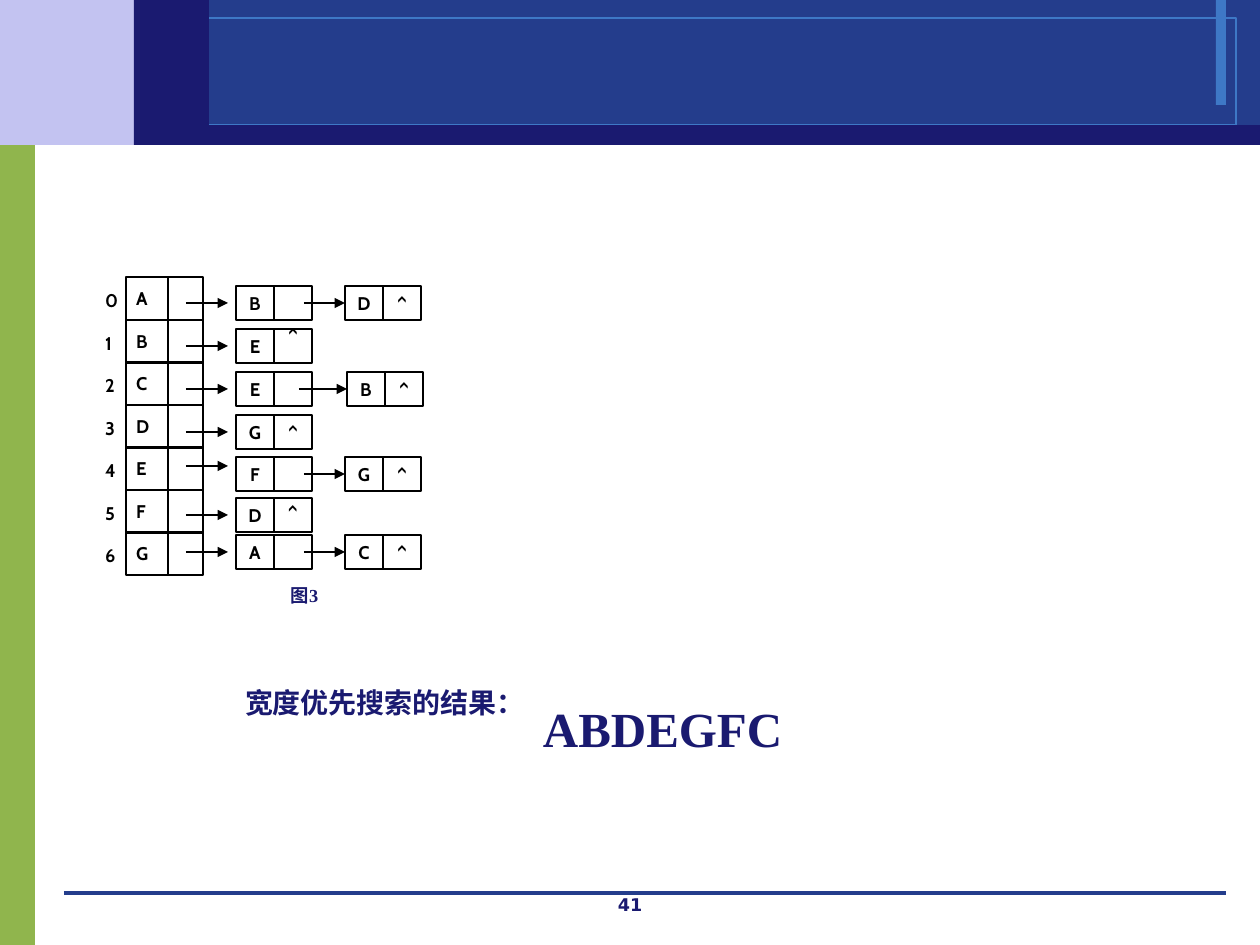
import pptx
import pptx.util
import pptx.dml.color
import pptx.enum.shapes
import pptx.enum.text
import pptx.oxml
import pptx.oxml.ns
from dataclasses import dataclass
from typing import Optional

PX = 914400 / 126
ALIGN = pptx.enum.text.PP_ALIGN
ANCHOR = pptx.enum.text.MSO_ANCHOR
NAVY, BLUE, SKY, BLACK = "1A1A70", "243D8C", "3E78C6", "000000"
CELL_MARGINS = (10, 5, 10, 5)
BOX_MARGINS = (13, 6, 13, 6)

# Adjacency table and linked nodes
TABLE_LEFT, TABLE_TOP, TABLE_HEIGHT = 126, 277, 298
VERTEX_WIDTH, POINTER_WIDTH = 42, 35
NODE_LEFT, NODE_WIDTH, NODE_HEIGHT = 236, 38, 34


@dataclass
class Band:
    left: int
    top: int
    width: int
    height: int
    fill: Optional[str] = None
    line: Optional[str] = None


@dataclass
class Row:
    vertex: str
    first: str
    node_top: int
    second: Optional[str] = None
    second_left: int = 345
    link_left: int = 304
    arrow_offset: int = 17


BACKGROUND_BANDS = [
    Band(0, 134, 35, 811, fill="90B54D"),
    Band(0, 0, 193, 145, fill="C3C3F1"),
    Band(193, 0, 1067, 145, fill=BLUE),
    Band(1216, 0, 10, 105, fill=SKY),
    Band(150, 18, 1086, 107, line=SKY),
]
FRONT_BANDS = [
    Band(164, 125, 1096, 20, fill=NAVY),
    Band(134, 0, 75, 145, fill=NAVY),
]
ROWS = [
    Row("A", "B", 286, "D"),
    Row("B", "E", 329),
    Row("C", "E", 372, "B", second_left=347, link_left=299),
    Row("D", "G", 415),
    Row("E", "F", 457, "G", arrow_offset=9),
    Row("F", "D", 498),
    Row("G", "A", 535, "C"),
]


def px(value: int) -> int:
    return round(value * PX)


def color(value: str):
    return pptx.dml.color.RGBColor.from_string(value)


def add_box(slide, left: int, top: int, width: int, height: int,
            fill: Optional[str] = None, line: Optional[str] = None,
            weight: float = 0.75):
    shape = slide.shapes.add_shape(
        pptx.enum.shapes.MSO_SHAPE.RECTANGLE,
        px(left), px(top), px(width), px(height))
    shape.shadow.inherit = False
    if fill:
        shape.fill.solid()
        shape.fill.fore_color.rgb = color(fill)
    else:
        shape.fill.background()
    if line:
        shape.line.color.rgb = color(line)
        shape.line.width = pptx.util.Pt(weight)
    else:
        shape.line.fill.background()
    return shape


def write(shape, text: str, size: float = 10.5, font: str = "Cabin",
          ink: str = BLACK, align=ALIGN.LEFT, anchor=ANCHOR.TOP,
          margins: tuple = CELL_MARGINS, wrap: bool = True,
          grow: bool = False, indent: int = 0, spacing: float = 1.0):
    frame = shape.text_frame
    frame.word_wrap = wrap
    frame.vertical_anchor = anchor
    if grow:
        frame.auto_size = pptx.enum.text.MSO_AUTO_SIZE.SHAPE_TO_FIT_TEXT
    (frame.margin_left, frame.margin_top,
     frame.margin_right, frame.margin_bottom) = map(px, margins)
    paragraph = frame.paragraphs[0]
    paragraph.alignment = align
    paragraph.line_spacing = spacing
    if indent:
        properties = paragraph._p.get_or_add_pPr()
        properties.set("marL", str(px(indent)))
        properties.set("indent", "0")
    run = paragraph.add_run()
    run.text = text
    run.font.size = pptx.util.Pt(size)
    run.font.name = font
    run.font.bold = True
    run.font.color.rgb = color(ink)


def add_label(slide, text: str, left: int, top: int, width: int, height: int,
              **text_format):
    shape = slide.shapes.add_textbox(px(left), px(top), px(width), px(height))
    write(shape, text, **text_format)


def add_line(slide, left: int, right: int, y: int, ink: str = BLACK,
             weight: float = 0.75, arrow: bool = False):
    connector = slide.shapes.add_connector(
        pptx.enum.shapes.MSO_CONNECTOR.STRAIGHT,
        px(left), px(y), px(right), px(y))
    connector.line.color.rgb = color(ink)
    connector.line.width = pptx.util.Pt(weight)
    if arrow:
        head = pptx.oxml.parse_xml(
            f'<a:tailEnd {pptx.oxml.ns.nsdecls("a")} type="triangle"/>')
        connector.line._get_or_add_ln().append(head)
    effects = pptx.oxml.parse_xml(
        f'<a:effectLst {pptx.oxml.ns.nsdecls("a")}/>')
    connector._element.spPr.append(effects)
    return connector


def add_band(slide, band: Band):
    add_box(slide, band.left, band.top, band.width, band.height,
            band.fill, band.line, weight=0)


def add_node(slide, left: int, top: int, value: str):
    """Draw the value and link cells of a list node; return the value cell."""
    cell = add_box(slide, left, top, NODE_WIDTH, NODE_HEIGHT, line=BLACK)
    write(cell, value, align=ALIGN.CENTER, anchor=ANCHOR.MIDDLE)
    link = add_box(slide, left + NODE_WIDTH, top, NODE_WIDTH, NODE_HEIGHT,
                   line=BLACK)
    return cell, link


def add_row(slide, index: int, row: Row):
    top = round(TABLE_TOP + index * TABLE_HEIGHT / len(ROWS))
    height = round(TABLE_HEIGHT / len(ROWS))

    # Table cells and index
    vertex = add_box(slide, TABLE_LEFT, top, VERTEX_WIDTH, height, line=BLACK)
    write(vertex, row.vertex, align=ALIGN.JUSTIFY, anchor=ANCHOR.MIDDLE)
    add_box(slide, TABLE_LEFT + VERTEX_WIDTH, top, POINTER_WIDTH, height,
            line=BLACK)
    add_label(slide, str(index), 95, top + 7, 32, 38, align=ALIGN.JUSTIFY)

    # Linked nodes
    _, last_link = add_node(slide, NODE_LEFT, row.node_top, row.first)
    add_line(slide, 186, 228, row.node_top + row.arrow_offset, arrow=True)
    if row.second:
        cell, last_link = add_node(slide, row.second_left, row.node_top,
                                   row.second)
        arrow = add_line(slide, row.link_left, row.second_left,
                         row.node_top + NODE_HEIGHT // 2, arrow=True)
        arrow.end_connect(cell, 1)

    # End mark, raised in the row of vertex B
    if row.vertex == "F":
        add_label(slide, "^", 278, 496, 43, 44, align=ALIGN.JUSTIFY)
    else:
        margins = (10, 5, 10, 27) if row.vertex == "B" else CELL_MARGINS
        write(last_link, "^", align=ALIGN.CENTER, anchor=ANCHOR.MIDDLE,
              margins=margins)


def main():
    presentation = pptx.Presentation()
    presentation.slide_width = px(1260)
    presentation.slide_height = px(945)
    slide = presentation.slides.add_slide(presentation.slide_layouts[6])

    # Header, side bar and footer rule
    for band in BACKGROUND_BANDS:
        add_band(slide, band)
    add_line(slide, 64, 1226, 893, ink=BLUE, weight=0)
    for band in FRONT_BANDS:
        add_band(slide, band)

    # Adjacency list and its caption
    for index, row in enumerate(ROWS):
        add_row(slide, index, row)
    caption = add_box(slide, 278, 578, 83, 42, fill="FFFFFF")
    write(caption, "图3", font="Times New Roman", ink=NAVY,
          align=ALIGN.JUSTIFY, margins=BOX_MARGINS)

    # Search result
    add_label(slide, "宽度优先搜索的结果：", 169, 663, 689, 57, size=16,
              font="Times New Roman", ink=NAVY, margins=BOX_MARGINS,
              grow=True, indent=63, spacing=1.5)
    add_label(slide, "ABDEGFC", 530, 692, 267, 72, size=28,
              font="Times New Roman", ink=NAVY, margins=BOX_MARGINS,
              grow=True, wrap=False)

    # Page number
    add_label(slide, "41", 483, 888, 294, 32, size=10, font="DejaVu Sans",
              ink=NAVY, align=ALIGN.CENTER, margins=BOX_MARGINS)

    presentation.save("out.pptx")


if __name__ == "__main__":
    main()
